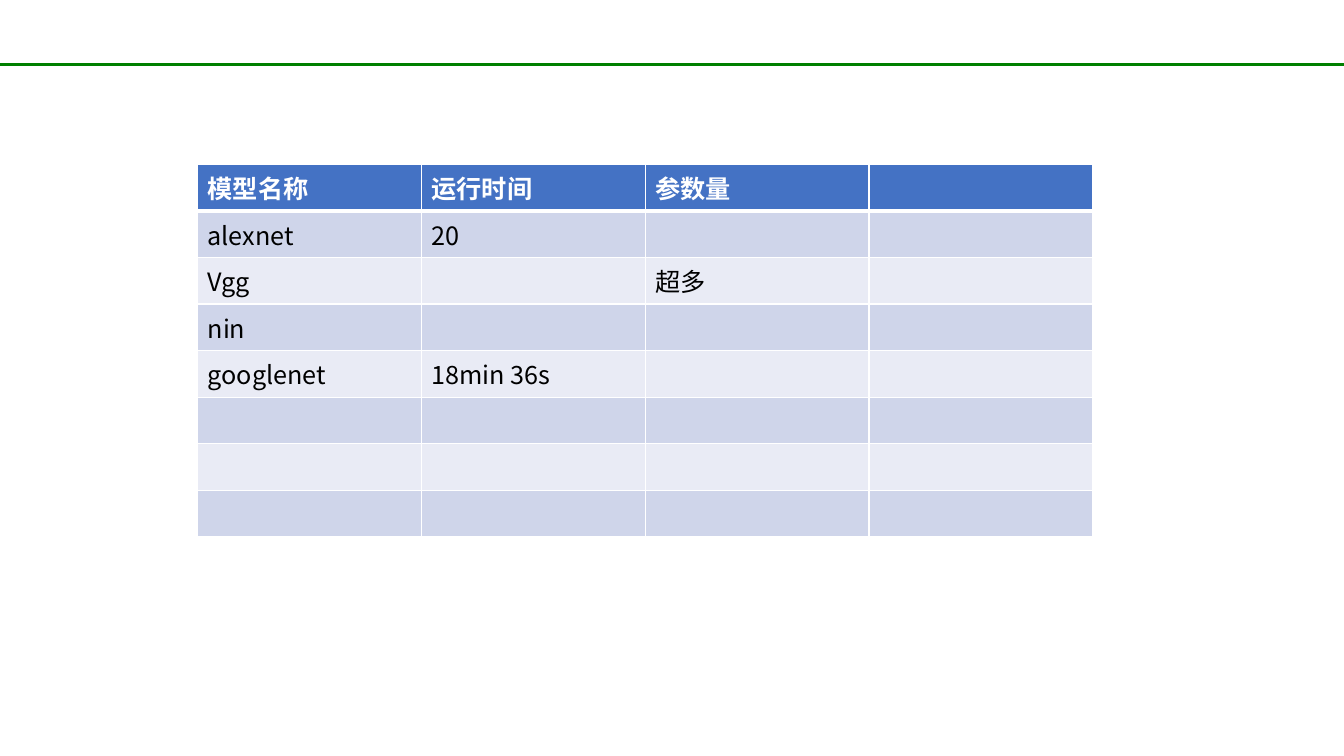
from dataclasses import dataclass

import pptx
import pptx.dml.color
import pptx.enum.shapes
import pptx.oxml
import pptx.oxml.ns
import pptx.util
from pptx.util import Inches


@dataclass(frozen=True)
class Theme:
    font: str = "Noto Sans CJK SC"
    text_size: int = 18
    rule: str = "008000"
    rule_width: float = 1.5
    header_fill: str = "4472C4"
    header_text: str = "FFFFFF"
    body_text: str = "000000"
    bands: tuple = ("CFD5EA", "E9EBF5")
    border: str = "FFFFFF"
    border_width: int = 1
    header_border_width: int = 3


THEME = Theme()
SLIDE_WIDTH = 13.33
COLUMN_WIDTH = 2.22
ROW_HEIGHT = 0.41
MODEL_ROWS = [
    ["模型名称", "运行时间", "参数量", ""],
    ["alexnet", "20", "", ""],
    ["Vgg", "", "超多", ""],
    ["nin", "", "", ""],
    ["googlenet", "18min 36s", "", ""],
    *[[""] * 4 for _ in range(3)],
]


def rgb(color):
    return pptx.dml.color.RGBColor.from_string(color)


def add_element(parent, tag, **attributes):
    element = pptx.oxml.parse_xml(f"<a:{tag} {pptx.oxml.ns.nsdecls('a')}/>")
    for name, value in attributes.items():
        element.set(name, str(value))
    parent.append(element)
    return element


def add_rule(page, top):
    line = page.shapes.add_connector(
        pptx.enum.shapes.MSO_CONNECTOR.STRAIGHT,
        Inches(0), Inches(top), Inches(SLIDE_WIDTH), Inches(top))
    line.line.color.rgb = rgb(THEME.rule)
    line.line.width = pptx.util.Pt(THEME.rule_width)
    add_element(line._element.spPr, "effectLst")


def add_borders(cell, row):
    """Draw all four edges, with a heavier one between header and body."""
    heavy_edge = {0: "lnB", 1: "lnT"}.get(row)
    properties = cell._tc.get_or_add_tcPr()
    for edge in ("lnL", "lnR", "lnT", "lnB"):
        width = THEME.header_border_width if edge == heavy_edge else THEME.border_width
        border = add_element(properties, edge, w=pptx.util.Pt(width))
        add_element(add_element(border, "solidFill"), "srgbClr", val=THEME.border)


def write_cell(cell, text, is_header):
    para = cell.text_frame.paragraphs[0]
    if not text:
        # The empty paragraph still sets the height of its row.
        mark = add_element(para._p, "endParaRPr", sz=THEME.text_size * 100)
        add_element(mark, "latin", typeface=THEME.font)
        add_element(mark, "ea", typeface=THEME.font)
        return
    para.text = text
    span = para.runs[0]
    span.font.size = pptx.util.Pt(THEME.text_size)
    span.font.bold = is_header
    span.font.color.rgb = rgb(THEME.header_text if is_header else THEME.body_text)
    span.font.name = THEME.font
    add_element(span._r.get_or_add_rPr(), "ea", typeface=THEME.font)


def add_model_table(page, left, top):
    row_count, column_count = len(MODEL_ROWS), len(MODEL_ROWS[0])
    table = page.shapes.add_table(
        row_count, column_count, Inches(left), Inches(top),
        Inches(COLUMN_WIDTH * column_count), Inches(ROW_HEIGHT * row_count)).table
    for row, texts in enumerate(MODEL_ROWS):
        is_header = row == 0
        fill = THEME.header_fill if is_header else THEME.bands[(row - 1) % 2]
        for column, text in enumerate(texts):
            cell = table.cell(row, column)
            add_borders(cell, row)
            cell.fill.solid()
            cell.fill.fore_color.rgb = rgb(fill)
            write_cell(cell, text, is_header)


def main():
    deck = pptx.Presentation()
    deck.slide_width = Inches(SLIDE_WIDTH)
    deck.slide_height = Inches(7.5)
    page = deck.slides.add_slide(deck.slide_layouts[6])
    add_rule(page, 0.64)
    add_model_table(page, 1.96, 1.63)
    deck.save("out.pptx")


if __name__ == "__main__":
    main()
